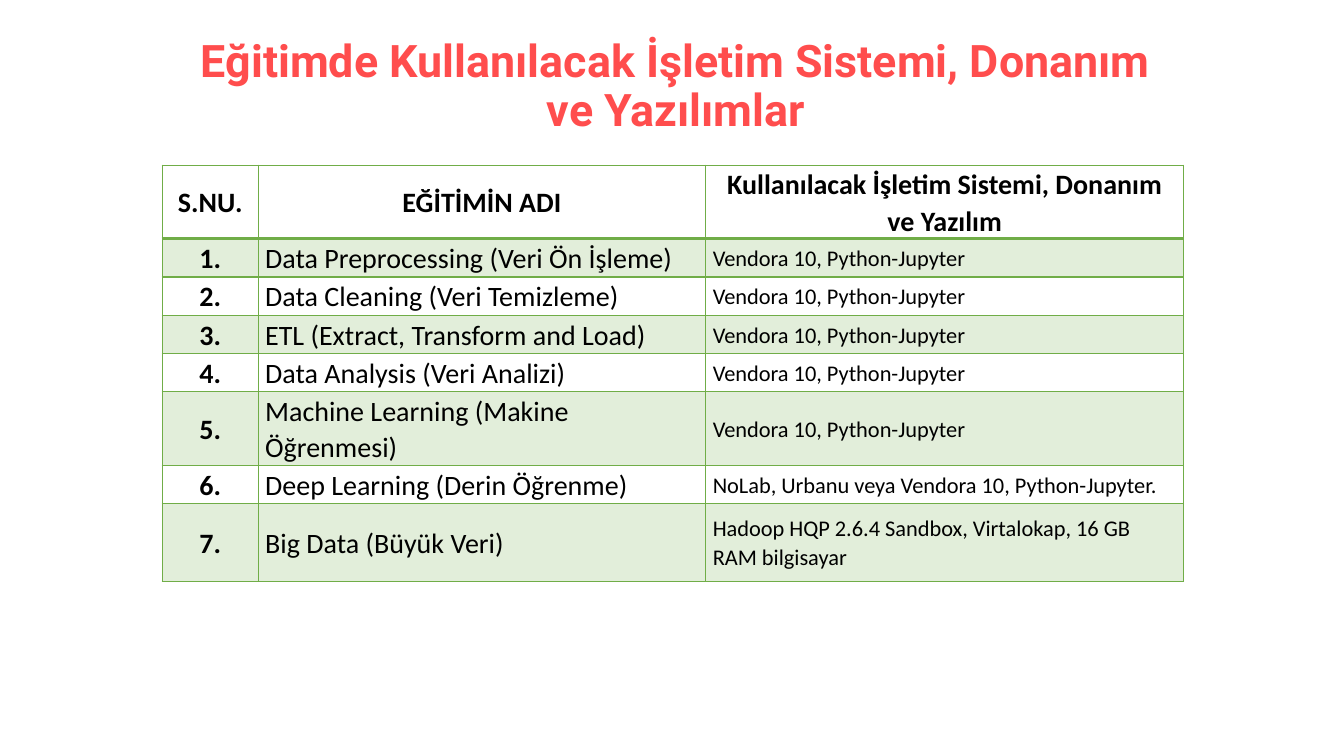
from dataclasses import dataclass

from lxml import etree
from pptx import Presentation, util as u
from pptx.dml.color import RGBColor
from pptx.enum import text as t
from pptx.oxml.ns import qn

PX = 9144  # 100 px to the inch


@dataclass(frozen=True)
class Theme:
    title: str = "FF4D4D"
    ink: str = "000000"
    green: str = "70AD47"
    tint: int = 20
    head: str = "Roboto"
    body: str = "Calibri"
    big: int = 32
    mid: int = 20
    small: int = 16


T = Theme()
PY = "Vendora 10, Python-Jupyter"
HEADS = ("S.NU.", "EĞİTİMİN ADI",
         "Kullanılacak İşletim Sistemi, Donanım ve Yazılım")
COURSES = (
    ("Data Preprocessing (Veri Ön İşleme)", PY),
    ("Data Cleaning (Veri Temizleme)", PY),
    ("ETL (Extract, Transform and Load)", PY),
    ("Data Analysis (Veri Analizi)", PY),
    ("Machine Learning (Makine Öğrenmesi)", PY),
    ("Deep Learning (Derin Öğrenme)",
     "NoLab, Urbanu veya Vendora 10, Python-Jupyter."),
    ("Big Data (Büyük Veri)",
     "Hadoop HQP 2.6.4 Sandbox, Virtalokap, 16 GB RAM bilgisayar"),
)
WIDTHS = (95, 444, 474)
HEIGHTS = (58,) + (38,) * 6 + (77,)


def px(n):
    return u.Emu(n * PX)


def write(frame, words, size=T.mid, font=T.body, color=T.ink, bold=False,
          center=False, lead=1.07):
    para = frame.paragraphs[0]
    para.alignment = t.PP_ALIGN.CENTER if center else t.PP_ALIGN.LEFT
    para.line_spacing = lead
    run = para.add_run()
    run.text = words
    run.font.size = u.Pt(size)
    run.font.name = font
    run.font.bold = bold
    run.font.color.rgb = RGBColor.from_string(color)


def border(cell, **widths):
    props = cell._tc.get_or_add_tcPr()
    for side in "LRTB":
        line = etree.SubElement(props, qn(f"a:ln{side}"),
                                w=str(u.Pt(widths.get(side, 1))))
        fill = etree.SubElement(line, qn("a:solidFill"))
        etree.SubElement(fill, qn("a:srgbClr"), val=T.green)


def shade(cell, on):
    if not on:
        cell.fill.background()
        return
    cell.fill.solid()
    cell.fill.fore_color.rgb = RGBColor.from_string(T.green)
    color = cell._tc.tcPr.find(".//" + qn("a:solidFill") + "[last()]")
    color = cell._tc.tcPr.find(qn("a:solidFill")).find(qn("a:srgbClr"))
    etree.SubElement(color, qn("a:alpha"), val=str(T.tint * 1000))


def add_title(slide, words):
    title = slide.shapes.title
    title.left, title.top, title.width, title.height = map(
        px, (168, 33, 1005, 107))
    frame = title.text_frame
    frame.word_wrap = True
    frame.auto_size = t.MSO_AUTO_SIZE.NONE
    frame.vertical_anchor = t.MSO_ANCHOR.BOTTOM
    write(frame, words, size=T.big, font=T.head, color=T.title, bold=True,
          center=True, lead=0.9)


def add_grid(slide, rows):
    table = slide.shapes.add_table(
        len(rows), len(WIDTHS), px(161), px(164),
        px(sum(WIDTHS)), px(sum(HEIGHTS))).table
    table.first_row = table.horz_banding = False
    for col, width in zip(table.columns, WIDTHS):
        col.width = px(width)
    for r, row in enumerate(rows):
        table.rows[r].height = px(HEIGHTS[r])
        for c, words in enumerate(row):
            cell = table.cell(r, c)
            cell.margin_left = cell.margin_right = px(7)
            cell.margin_top = cell.margin_bottom = 0
            cell.vertical_anchor = t.MSO_ANCHOR.MIDDLE
            # Header row and number column are bold and centred
            strong = r == 0 or c == 0
            write(cell.text_frame, words, bold=strong, center=strong,
                  size=T.small if c == 2 and r else T.mid)
            # The header has a heavier rule below it
            border(cell, B=1 if r else 2, T=2 if r == 1 else 1)
            shade(cell, r % 2 == 1)


def main():
    deck = Presentation()
    deck.slide_width, deck.slide_height = px(1333), px(750)
    slide = deck.slides.add_slide(deck.slide_layouts[5])

    # Heading
    add_title(slide, "Eğitimde Kullanılacak İşletim Sistemi, "
                     "Donanım ve Yazılımlar")

    # Numbered courses with their systems
    rows = [HEADS] + [(f"{n}.", *course)
                      for n, course in enumerate(COURSES, 1)]
    add_grid(slide, rows)
    deck.save("out.pptx")


if __name__ == "__main__":
    main()
